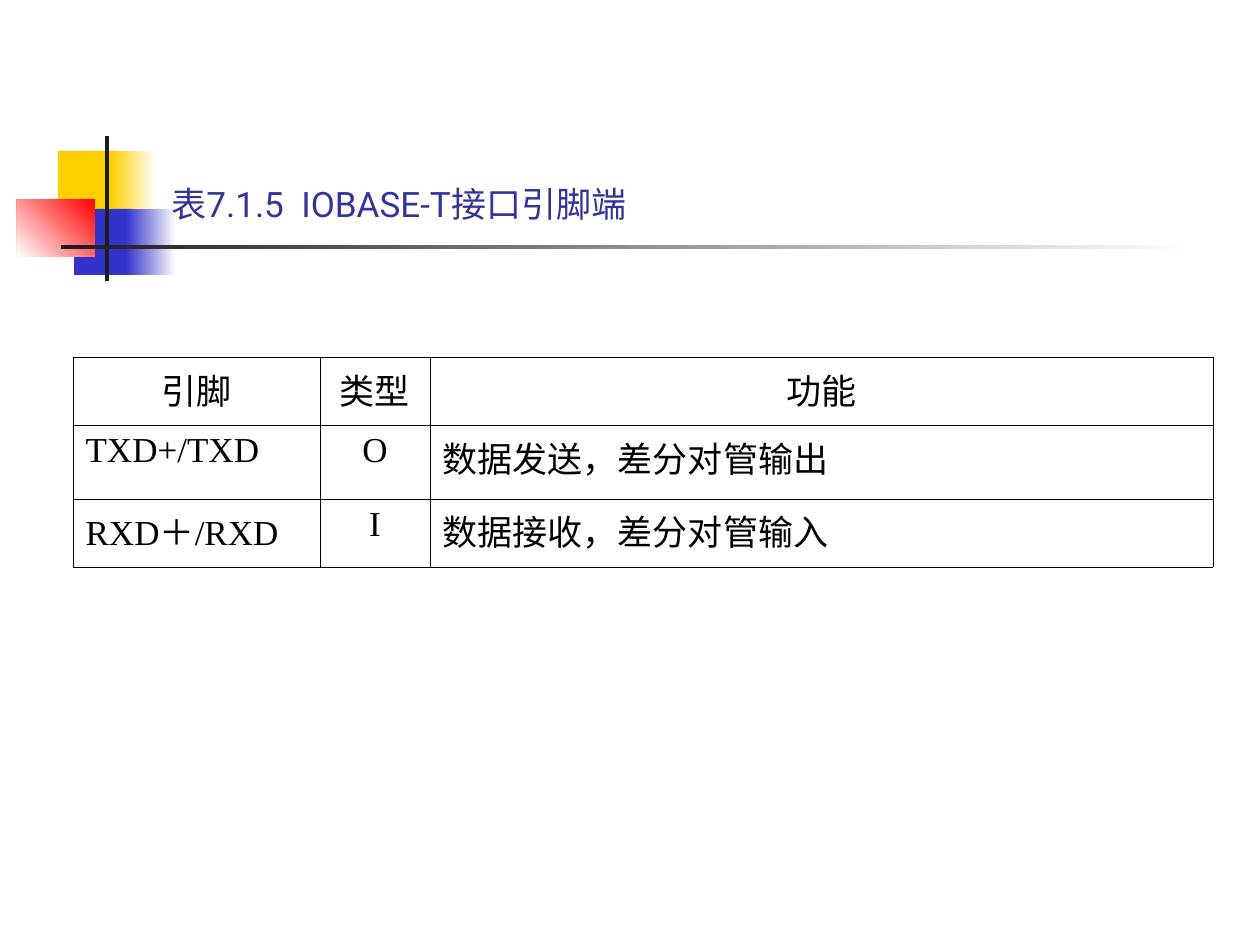
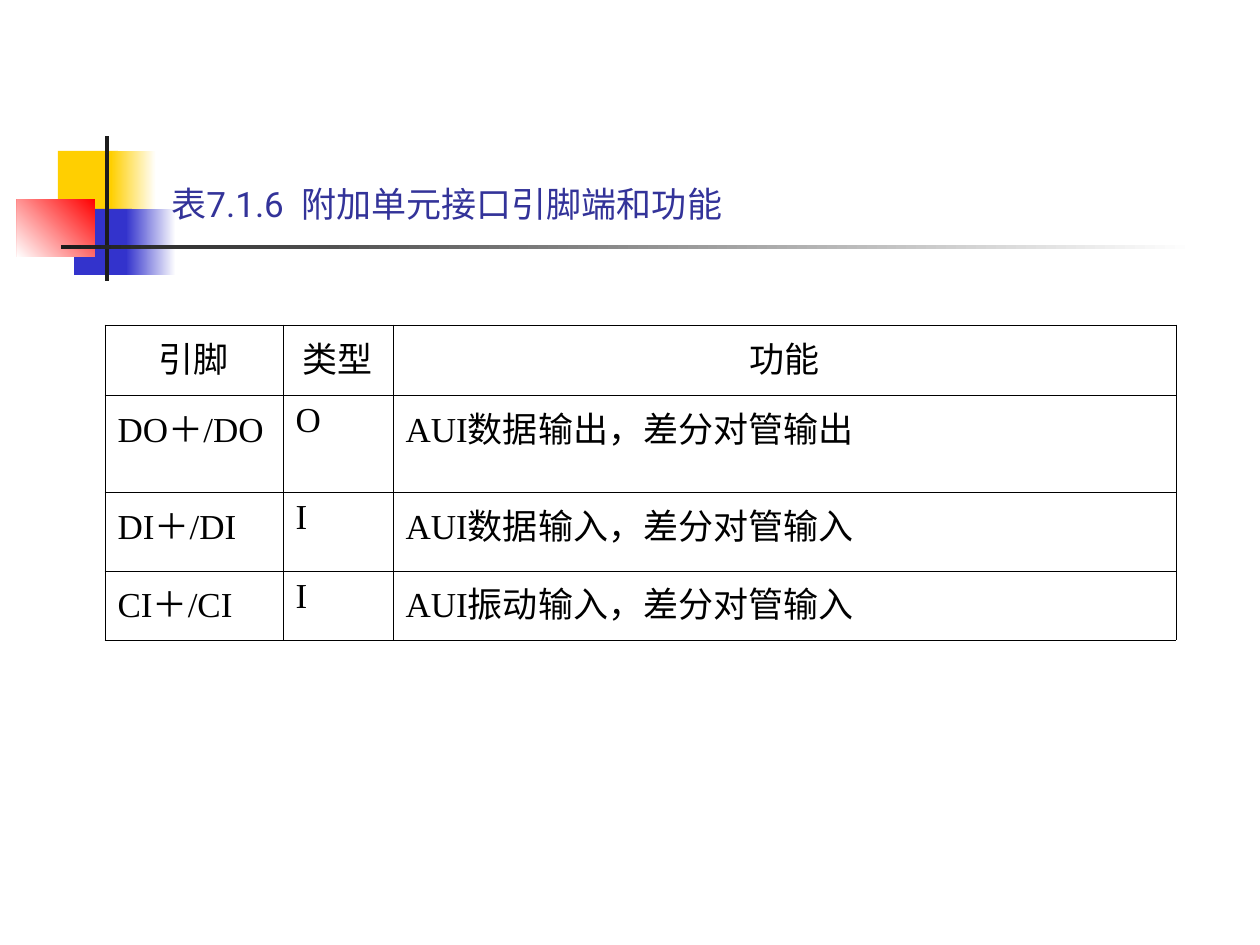
from lxml import etree
from pptx import Presentation
from pptx.dml.color import RGBColor
from pptx.enum.shapes import MSO_SHAPE
from pptx.enum.text import MSO_ANCHOR, PP_ALIGN
from pptx.oxml.ns import qn
from pptx.util import Emu, Pt

RECT = MSO_SHAPE.RECTANGLE
BOTTOM = MSO_ANCHOR.BOTTOM
LEFT, CENTER = PP_ALIGN.LEFT, PP_ALIGN.CENTER

# Shared style
WHITE, BLACK, DARK = "FFFFFF", "000000", "1C1C1C"
YELLOW, BLUE, RED = "FFCF01", "3333CC", "FF0000"
TITLE_FONT = {"name": "Roboto", "size": Pt(20), "color": "333399"}
CELL_FONT = {"name": "Times New Roman", "size": Pt(20), "color": BLACK}
BORDER_WIDTH = Pt(0.45)
HEADER = ["引脚", "类型", "功能"]

# Ornament rectangles: box, fill colours, gradient angle
ORNAMENT = [
    ((58, 151, 60, 66), [YELLOW], 0),
    ((111, 151, 45, 66), [WHITE, YELLOW], 180),
    ((74, 209, 58, 66), [BLUE], 0),
    ((126, 209, 50, 66), [WHITE, BLUE], 180),
    ((17, 199, 78, 58), [RED, WHITE], 225),
    ((105, 136, 4, 145), [DARK], 0),
    ((61, 245, 1134, 4), [WHITE, DARK], 180),
]


def px(n):
    return Emu(round(n * 914400 / 126))


def rgb(value):
    return RGBColor.from_string(value)


class Deck:
    def __init__(self):
        self.prs = Presentation()
        self.prs.slide_width, self.prs.slide_height = px(1260), px(945)
        self.s = None

    def slide(self, title):
        self.s = self.prs.slides.add_slide(self.prs.slide_layouts[6])
        for box, colors, angle in ORNAMENT:
            self.rect(box, colors, angle)
        self.title(title)

    def rect(self, box, colors, angle):
        sp = self.s.shapes.add_shape(RECT, *map(px, box))
        sp.shadow.inherit = False
        sp.line.fill.background()
        if len(colors) == 1:
            sp.fill.solid()
            sp.fill.fore_color.rgb = rgb(colors[0])
        else:
            sp.fill.gradient()
            sp.fill.gradient_angle = angle
            for stop, color, position in zip(sp.fill.gradient_stops, colors, (0, 1)):
                stop.color.rgb = rgb(color)
                stop.position = position

    def text(self, tf, text, font, align=LEFT):
        p = tf.paragraphs[0]
        p.alignment = align
        r = p.add_run()
        r.text = text
        for name, value in font.items():
            if name == "color":
                r.font.color.rgb = rgb(value)
            else:
                setattr(r.font, name, value)

    def title(self, text):
        tf = self.s.shapes.add_textbox(*map(px, (159, 29, 1074, 202))).text_frame
        tf.word_wrap = True
        tf.vertical_anchor = BOTTOM
        self.text(tf, text, TITLE_FONT)

    def border(self, cell):
        tc_pr = cell._tc.get_or_add_tcPr()
        for i, side in enumerate(("a:lnL", "a:lnR", "a:lnT", "a:lnB")):
            ln = etree.Element(qn(side), w=str(BORDER_WIDTH))
            fill = etree.SubElement(ln, qn("a:solidFill"))
            etree.SubElement(fill, qn("a:srgbClr"), val=BLACK)
            tc_pr.insert(i, ln)

    def table(self, x, y, cols, heights, rows, type_align):
        rows = [HEADER] + rows
        frame = self.s.shapes.add_table(len(rows), len(cols), px(x), px(y),
                                        px(sum(cols)), px(sum(heights)))
        table = frame.table
        table.first_row = table.horz_banding = False
        for col, width in zip(table.columns, cols):
            col.width = px(width)
        for i, (row, height) in enumerate(zip(rows, heights)):
            table.rows[i].height = px(height)
            aligns = (LEFT, type_align, LEFT) if i else (CENTER,) * 3
            for j, (text, align) in enumerate(zip(row, aligns)):
                cell = table.cell(i, j)
                cell.fill.background()
                self.border(cell)
                self.text(cell.text_frame, text, CELL_FONT, align)


def main():
    deck = Deck()

    # 10BASE-T pins
    deck.slide("表7.1.5  IOBASE-T接口引脚端")
    deck.table(73, 357, [247, 110, 783], [68, 74, 68], [
        ["TXD+/TXD", "O", "数据发送，差分对管输出"],
        ["RXD＋/RXD", "I", "数据接收，差分对管输入"],
    ], CENTER)

    # Attachment unit pins
    deck.slide("表7.1.6  附加单元接口引脚端和功能")
    deck.table(105, 325, [178, 110, 783], [70, 97, 79, 69], [
        ["DO＋/DO", "O", "AUI数据输出，差分对管输出"],
        ["DI＋/DI", "I", "AUI数据输入，差分对管输入"],
        ["CI＋/CI", "I", "AUI振动输入，差分对管输入"],
    ], LEFT)

    deck.prs.save("out.pptx")


if __name__ == "__main__":
    main()
